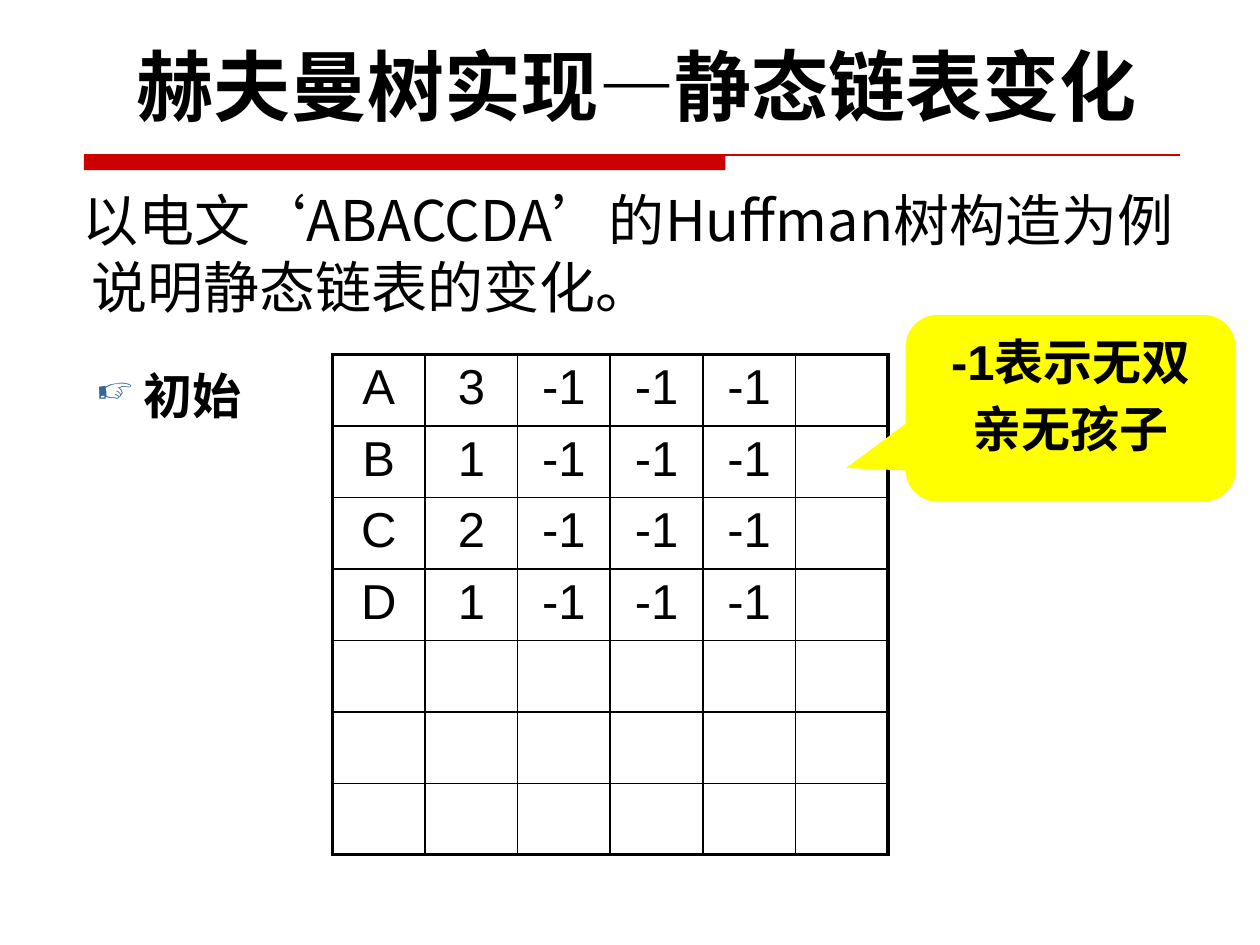
from lxml import etree
from pptx import Presentation
from pptx import util as u
from pptx.dml.color import RGBColor
from pptx.enum import shapes, text
from pptx.oxml import ns

Pt = u.Pt
COLORS = {"ink": "000000", "rule": "CC0000", "note": "FFFF00", "pointer": "336699"}
CJK = "Noto Sans CJK SC"
TITLE = {"name": "Karla", "size": Pt(44), "bold": True}
BODY = {"name": CJK, "size": Pt(32), "bold": False}
STRONG = {"name": "Arial", "size": Pt(28), "bold": True}
ENTRY = {"name": "Arial", "size": Pt(28), "bold": False}
NODES = [("A", 3), ("B", 1), ("C", 2), ("D", 1)]
ROWS, COLS = 7, 6


def rgb(key):
    """Return the named colour."""
    return RGBColor.from_string(COLORS[key])


def add_xml(parent, tag, **attributes):
    """Append a DrawingML element to a parent."""
    return etree.SubElement(parent, ns.qn(tag), attributes)


def write(paragraph, words, font, **layout):
    """Write one formatted run into a paragraph."""
    for key, value in layout.items():
        setattr(paragraph, key, value)
    run = paragraph.add_run()
    run.text = words
    for key, value in font.items():
        setattr(run.font, key, value)
    run.font.color.rgb = rgb("ink")
    add_xml(run.font._element, "a:ea", typeface=CJK)


def set_frame(frame, **margins):
    """Make a wrapping, top-anchored frame with the given margins."""
    settings = {"word_wrap": True, "auto_size": text.MSO_AUTO_SIZE.NONE,
                "vertical_anchor": text.MSO_ANCHOR.TOP, **margins}
    for key, value in settings.items():
        setattr(frame, key, value)
    return frame.paragraphs[0]


def set_indent(paragraph, left, first):
    """Set the left margin and first-line indent of a paragraph."""
    properties = paragraph._p.get_or_add_pPr()
    properties.set("marL", str(Pt(left)))
    properties.set("indent", str(Pt(first)))
    return properties


def add_heading(slide, left, top, width, height):
    """Place the slide title."""
    heading = slide.shapes.title
    box = {"left": left, "top": top, "width": width, "height": height}
    for key, value in box.items():
        setattr(heading, key, Pt(value))
    paragraph = set_frame(heading.text_frame, margin_top=Pt(10))
    write(paragraph, "赫夫曼树实现—静态链表变化", TITLE, line_spacing=Pt(50),
          alignment=text.PP_ALIGN.CENTER)


def add_rule(slide, left, top, width, height):
    """Draw the thick bar and the thin line under the title."""
    bar = slide.shapes.add_shape(shapes.MSO_SHAPE.RECTANGLE, Pt(left), Pt(top),
                                 Pt(width * 0.585), Pt(height))
    bar.shadow.inherit = False
    bar.fill.solid()
    bar.fill.fore_color.rgb = rgb("rule")
    bar.line.fill.background()
    line = slide.shapes.add_connector(shapes.MSO_CONNECTOR.STRAIGHT, Pt(left), Pt(top),
                                      Pt(left + width), Pt(top))
    line.line.color.rgb = rgb("rule")
    line.line.width = Pt(0.75)
    add_xml(line._element.spPr, "a:effectLst")


def add_intro(slide, left, top, width, height):
    """Place the introductory sentence."""
    intro = slide.shapes.add_textbox(Pt(left), Pt(top), Pt(width), Pt(height))
    paragraph = set_frame(intro.text_frame, margin_top=Pt(7.6))
    set_indent(paragraph, 27, -5)
    write(paragraph, "以电文‘ABACCDA’的Huffman树构造为例说明静态链表的变化。", BODY,
          line_spacing=Pt(38.3))


def add_stage(slide, left, top, width, height):
    """Place the bulleted name of the stage."""
    stage = slide.shapes.add_textbox(Pt(left), Pt(top), Pt(width), Pt(height))
    paragraph = set_frame(stage.text_frame, margin_top=Pt(7))
    properties = set_indent(paragraph, 27, -27)
    tint = add_xml(properties, "a:buClr")
    add_xml(tint, "a:srgbClr", val=COLORS["pointer"])
    add_xml(properties, "a:buSzPct", val="75000")
    add_xml(properties, "a:buChar", char="☞")
    write(paragraph, "初始", STRONG, line_spacing=Pt(33))


def set_borders(cell, row, col):
    """Draw cell borders, heavier along the outside of the list."""
    outer = {"L": col == 0, "R": col == COLS - 1, "T": row == 0, "B": row == ROWS - 1}
    properties = cell._tc.get_or_add_tcPr()
    for order, (side, heavy) in enumerate(outer.items()):
        border = etree.Element(ns.qn(f"a:ln{side}"), w=str(Pt(2.25 if heavy else 1)))
        paint = add_xml(border, "a:solidFill")
        add_xml(paint, "a:srgbClr", val=COLORS["ink"])
        properties.insert(order, border)


def add_static_list(slide, left, top, width, height):
    """Place the static linked list as a table."""
    table = slide.shapes.add_table(ROWS, COLS, Pt(left), Pt(top), Pt(width), Pt(height)).table
    table.first_row = table.horz_banding = False
    for column in table.columns:
        column.width = Pt(width / COLS)
    for row in table.rows:
        row.height = Pt(height / ROWS)
    for row in range(ROWS):
        entries = (*NODES[row], -1, -1, -1) if row < len(NODES) else ()
        for col in range(COLS):
            cell = table.cell(row, col)
            cell.fill.background()
            set_borders(cell, row, col)
            if col < len(entries):
                write(cell.text_frame.paragraphs[0], str(entries[col]), ENTRY,
                      alignment=text.PP_ALIGN.CENTER)


def add_note(slide, left, top, width, height):
    """Place the callout that explains -1."""
    note = slide.shapes.add_shape(shapes.MSO_SHAPE.ROUNDED_RECTANGULAR_CALLOUT,
                                  Pt(left), Pt(top), Pt(width), Pt(height))
    for index, value in enumerate((-0.68, 0.32, 0.17)):
        note.adjustments[index] = value
    note.shadow.inherit = False
    note.fill.solid()
    note.fill.fore_color.rgb = rgb("note")
    note.line.fill.background()
    first = set_frame(note.text_frame, margin_left=0, margin_right=0,
                      margin_top=Pt(5), margin_bottom=0)
    layout = {"alignment": text.PP_ALIGN.CENTER, "line_spacing": Pt(32.7)}
    write(first, "-1表示无双", STRONG, **layout)
    write(note.text_frame.add_paragraph(), "亲无孩子", STRONG, space_before=Pt(5.6), **layout)


def main():
    """Build and save the slide."""
    deck = Presentation()
    deck.slide_width, deck.slide_height = Pt(720), Pt(540)
    slide = deck.slides.add_slide(deck.slide_layouts[5])
    add_rule(slide, 48, 88.5, 626.5, 8.7)
    add_intro(slide, 18, 98.6, 672.5, 75)
    add_static_list(slide, 190, 202.5, 317.5, 286)
    add_note(slide, 517.5, 180, 188.6, 106.6)
    add_stage(slide, 48, 202.5, 170, 41)
    add_heading(slide, 31, 15, 666, 60.5)
    deck.save("out.pptx")


if __name__ == "__main__":
    main()
